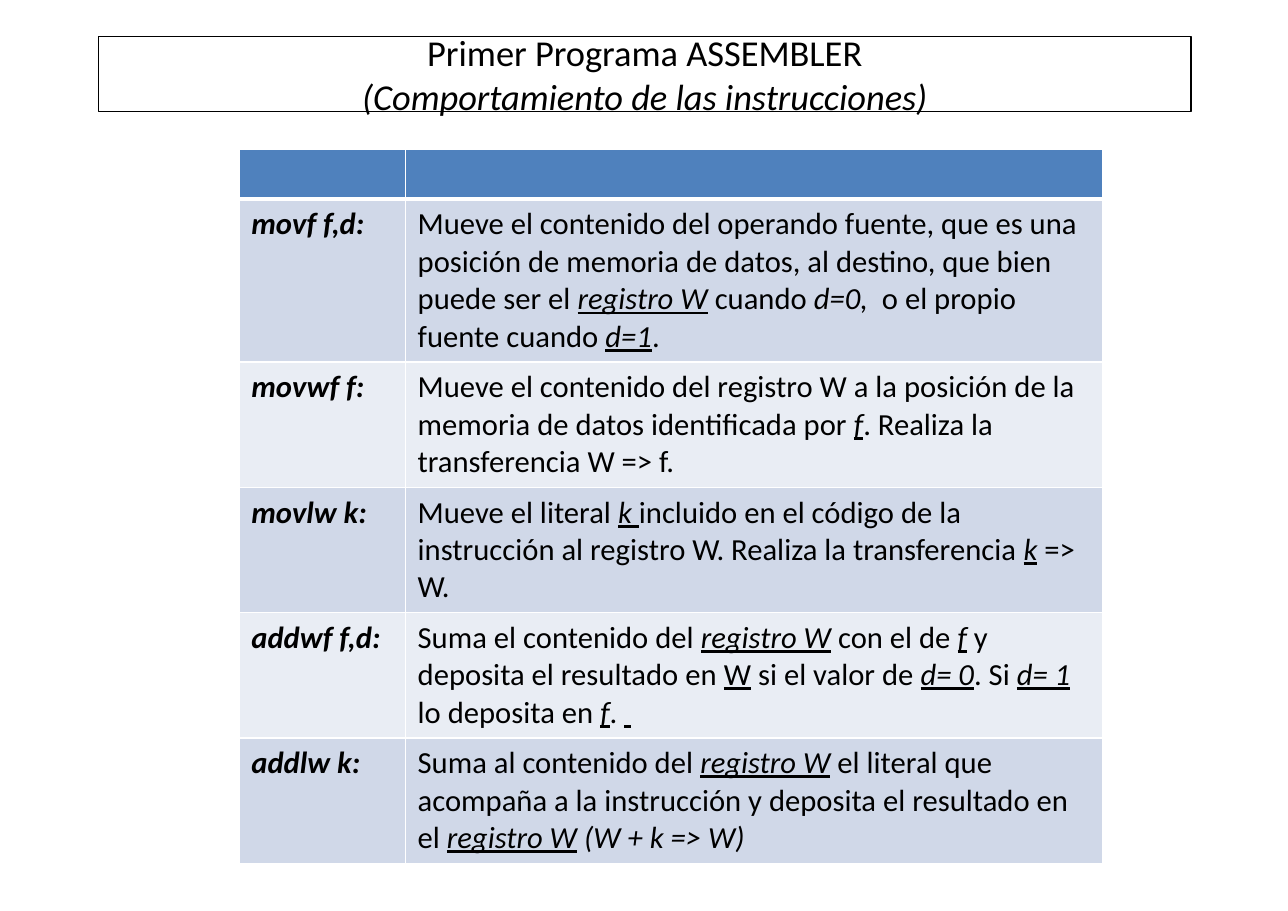
from lxml import etree
from pptx import Presentation
from pptx.dml.color import RGBColor
from pptx.enum import shapes, text
from pptx.oxml import ns
from pptx.util import Pt

PLAIN, ITALIC, UNDERLINE, KEY, OPCODE = "", "i", "u", "iu", "bi"

TITLE = [("Primer Programa ASSEMBLER", PLAIN),
         ("(Comportamiento de las instrucciones)", ITALIC)]

INSTRUCTIONS = [
    ("movf f,d:", [
        ("Mueve el contenido del operando fuente, que es una posición de "
         "memoria de datos, al destino, que bien puede ser el ", PLAIN),
        ("registro W", KEY), (" cuando ", PLAIN), ("d=0, ", ITALIC),
        (" o el propio fuente cuando ", PLAIN), ("d=1", KEY), (".", PLAIN)]),
    ("movwf f:", [
        ("Mueve el contenido del registro W a la posición de la memoria "
         "de datos identificada por ", PLAIN),
        ("f", KEY), (". Realiza la transferencia W => f.", PLAIN)]),
    ("movlw k:", [
        ("Mueve el literal ", PLAIN), ("k ", KEY),
        ("incluido en el código de la instrucción al registro W. "
         "Realiza la transferencia ", PLAIN),
        ("k", KEY), (" => W.", PLAIN)]),
    ("addwf f,d:", [
        ("Suma el contenido del ", PLAIN), ("registro W", KEY),
        (" con el de ", PLAIN), ("f", KEY),
        (" y deposita el resultado en ", PLAIN), ("W", UNDERLINE),
        (" si el valor de ", PLAIN), ("d= 0", KEY), (". Si ", PLAIN),
        ("d= 1", KEY), (" lo deposita en ", PLAIN), ("f", KEY),
        (". ", PLAIN), (" ", KEY)]),
    ("addlw k:", [
        ("Suma al contenido del ", PLAIN), ("registro W", KEY),
        (" el literal que acompaña a la instrucción y deposita el "
         "resultado en el ", PLAIN),
        ("registro W", KEY), (" ", PLAIN), ("(W + k => W)", ITALIC)]),
]

THEME = {
    "font": "Calibri", "title_size": 23.8, "body_size": 20,
    "ink": "000000", "border": "FFFFFF", "header": "4F81BD",
    "bands": ("D0D8E8", "E9EDF4"),
}

SLIDE_SIZE = (841.68, 595.44)
TITLE_BOX = (64.08, 23.76, 714.24, 48.96)
TABLE_ORIGIN = (156.4, 97.9)
COLUMN_WIDTHS = (108.7, 455.8)
ROW_HEIGHTS = (32.4, 103, 79.2, 79.2, 79.2, 79.2)
CELL_MARGINS = (7.9, 4.2)


def colour(name):
    return RGBColor.from_string(name)


def add_styled_run(paragraph, wording, style, size):
    run = paragraph.add_run()
    run.text = wording
    font = run.font
    font.name, font.size = THEME["font"], Pt(size)
    font.color.rgb = colour(THEME["ink"])
    font.bold, font.italic, font.underline = (mark in style for mark in "biu")


def style_cell(cell, fill, bottom_width=1):
    """Give the cell white borders, a plain fill and its margins."""
    properties = cell._tc.get_or_add_tcPr()
    for side, width in zip("LRTB", (1, 1, 1, bottom_width)):
        line = etree.SubElement(properties, ns.qn(f"a:ln{side}"), w=str(Pt(width)))
        solid = etree.SubElement(line, ns.qn("a:solidFill"))
        etree.SubElement(solid, ns.qn("a:srgbClr"), val=THEME["border"])
    cell.fill.solid()
    cell.fill.fore_color.rgb = colour(fill)
    cell.margin_left = cell.margin_right = Pt(CELL_MARGINS[0])
    cell.margin_top = cell.margin_bottom = Pt(CELL_MARGINS[1])


def add_title(slide):
    shape = slide.shapes.add_shape(
        shapes.MSO_SHAPE.RECTANGLE, *map(Pt, TITLE_BOX))
    shape.shadow.inherit = False
    shape.fill.background()
    shape.line.color.rgb = colour(THEME["ink"])
    shape.line.width = Pt(0.75)
    frame = shape.text_frame
    frame.word_wrap = True
    frame.vertical_anchor = text.MSO_ANCHOR.MIDDLE
    paragraph = frame.paragraphs[0]
    paragraph.alignment = text.PP_ALIGN.CENTER
    for index, (wording, style) in enumerate(TITLE):
        if index:
            paragraph.add_line_break()
        add_styled_run(paragraph, wording, style, THEME["title_size"])


def add_instruction_table(slide):
    size = sum(COLUMN_WIDTHS), sum(ROW_HEIGHTS)
    table = slide.shapes.add_table(
        len(ROW_HEIGHTS), len(COLUMN_WIDTHS),
        *map(Pt, TABLE_ORIGIN + size)).table
    for column, width in zip(table.columns, COLUMN_WIDTHS):
        column.width = Pt(width)
    for row, height in zip(table.rows, ROW_HEIGHTS):
        row.height = Pt(height)

    for cell in table.rows[0].cells:
        style_cell(cell, THEME["header"], bottom_width=3)
    for index, (opcode, description) in enumerate(INSTRUCTIONS):
        contents = ([(opcode, OPCODE)], description)
        for cell, runs in zip(table.rows[index + 1].cells, contents):
            style_cell(cell, THEME["bands"][index % 2])
            for wording, style in runs:
                add_styled_run(cell.text_frame.paragraphs[0], wording, style,
                               THEME["body_size"])


def main():
    presentation = Presentation()
    presentation.slide_width, presentation.slide_height = map(Pt, SLIDE_SIZE)
    slide = presentation.slides.add_slide(presentation.slide_layouts[6])
    add_title(slide)
    add_instruction_table(slide)
    presentation.save("out.pptx")


if __name__ == "__main__":
    main()
